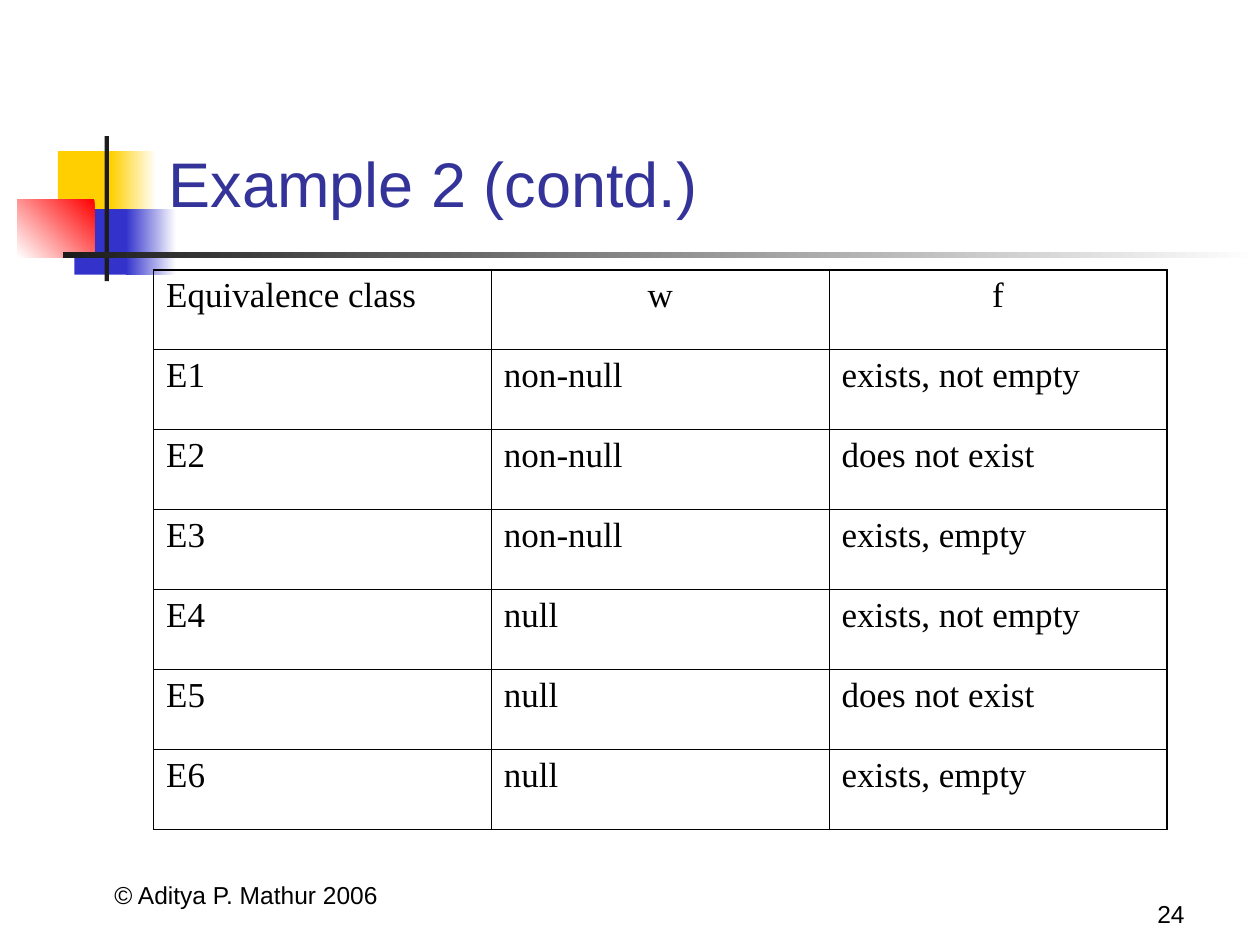
import pptx
import pptx.dml.color
import pptx.enum.shapes
import pptx.enum.text
import pptx.oxml
import pptx.oxml.ns
import pptx.util

Pt = pptx.util.Pt
ALIGN = pptx.enum.text.PP_ALIGN
BOTTOM = pptx.enum.text.MSO_ANCHOR.BOTTOM

INK = "000000"
WHITE = "FFFFFF"
YELLOW = "FFCF01"
BLUE = "3333CC"
RED = "FF0000"
CHARCOAL = "1C1C1C"
TITLE_BLUE = "333399"

OUTER_LINE, INNER_LINE = 1.08, 0.45

CLASSES = [
    ("Equivalence class", "w", "f"),
    ("E1", "non-null", "exists, not empty"),
    ("E2", "non-null", "does not exist"),
    ("E3", "non-null", "exists, empty"),
    ("E4", "null", "exists, not empty"),
    ("E5", "null", "does not exist"),
    ("E6", "null", "exists, empty"),
]


def rgb(hex_code):
    return pptx.dml.color.RGBColor.from_string(hex_code)


def write(frame, text, size, font="Arial", color=INK, align=ALIGN.LEFT):
    frame.word_wrap = True
    paragraph = frame.paragraphs[0]
    paragraph.alignment = align
    run = paragraph.add_run()
    run.text = text
    run.font.size = Pt(size)
    run.font.name = font
    run.font.color.rgb = rgb(color)


def add_label(slide, box, text, **text_format):
    label = slide.shapes.add_textbox(*map(Pt, box))
    label.text_frame.vertical_anchor = BOTTOM
    write(label.text_frame, text, **text_format)


def add_block(slide, box, *colors, angle=180):
    """Add a rectangle: one colour is solid, two make a gradient."""
    block = slide.shapes.add_shape(
        pptx.enum.shapes.MSO_SHAPE.RECTANGLE, *map(Pt, box))
    block.shadow.inherit = False
    block.line.fill.background()
    if len(colors) == 1:
        block.fill.solid()
        block.fill.fore_color.rgb = rgb(colors[0])
        return
    block.fill.gradient()
    block.fill.gradient_angle = angle
    for stop, color in zip(block.fill.gradient_stops, colors):
        stop.color.rgb = rgb(color)


def set_borders(cell, widths):
    properties = cell._tc.get_or_add_tcPr()
    for side, width in widths.items():
        properties.append(pptx.oxml.parse_xml(
            f'<a:ln{side} {pptx.oxml.ns.nsdecls("a")} w="{Pt(width)}">'
            f'<a:solidFill><a:srgbClr val="{INK}"/></a:solidFill></a:ln{side}>'))


def add_class_table(slide, box, rows):
    row_count, column_count = len(rows), len(rows[0])
    table = slide.shapes.add_table(
        row_count, column_count, *map(Pt, box)).table
    table.first_row = table.horz_banding = False
    for r, row in enumerate(rows):
        table.rows[r].height = Pt(box[3] / row_count)
        for c, text in enumerate(row):
            cell = table.cell(r, c)
            on_edge = {"L": c == 0, "R": c == column_count - 1,
                       "T": r == 0, "B": r == row_count - 1}
            set_borders(cell, {side: OUTER_LINE if edge else INNER_LINE
                               for side, edge in on_edge.items()})
            cell.fill.background()
            centred = r == 0 and c > 0
            write(cell.text_frame, text, size=20, font="Times New Roman",
                  align=ALIGN.CENTER if centred else ALIGN.LEFT)


def add_ornament(slide):
    add_block(slide, (33.1, 86.4, 34.6, 37.4), YELLOW)
    add_block(slide, (63.4, 86.4, 25.9, 37.4), WHITE, YELLOW)
    add_block(slide, (42.5, 119.5, 33.1, 37.4), BLUE)
    add_block(slide, (72, 119.5, 28.8, 37.4), WHITE, BLUE)
    add_block(slide, (10, 113.8, 44, 33.1), RED, WHITE, angle=225)
    # Upright bar and title rule
    add_block(slide, (59.8, 77.8, 2.5, 82.8), CHARCOAL)
    add_block(slide, (36, 144, 684, 3.6), WHITE, CHARCOAL)


def main():
    deck = pptx.Presentation()
    deck.slide_width, deck.slide_height = Pt(720), Pt(540)
    slide = deck.slides.add_slide(deck.slide_layouts[6])

    add_ornament(slide)

    # Footer
    add_label(slide, (26.6, 487.4, 228.2, 36), "© Aditya P. Mathur 2006",
              size=14, align=ALIGN.CENTER)
    add_label(slide, (534.2, 498.2, 149.8, 36), "24",
              size=14, align=ALIGN.RIGHT)

    # Title and table
    add_label(slide, (89.3, 78.5, 613.4, 51.1), "Example 2 (contd.)",
              size=36, color=TITLE_BLUE)
    add_class_table(slide, (87.8, 154.2, 579, 320), CLASSES)

    deck.save("out.pptx")


if __name__ == "__main__":
    main()
